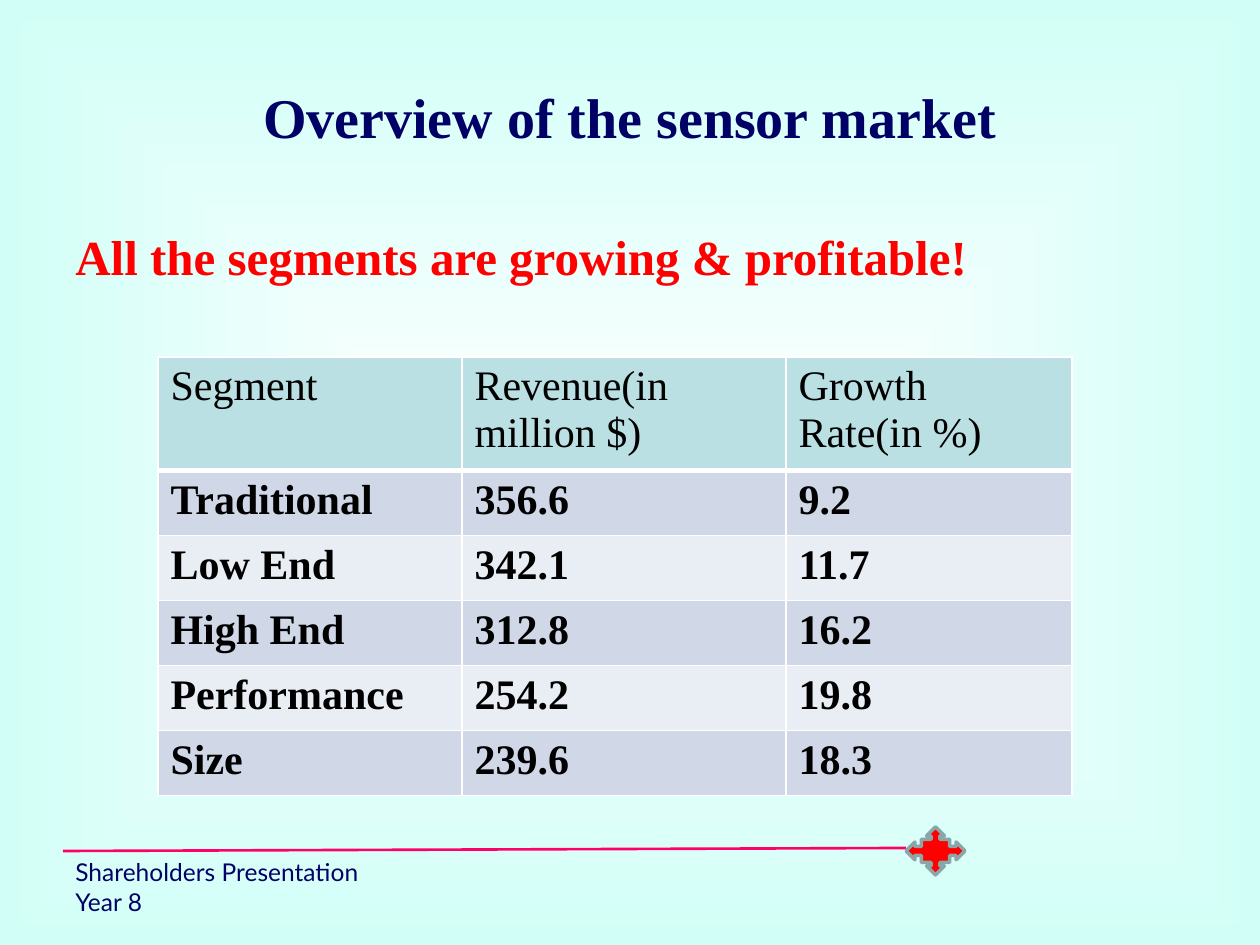
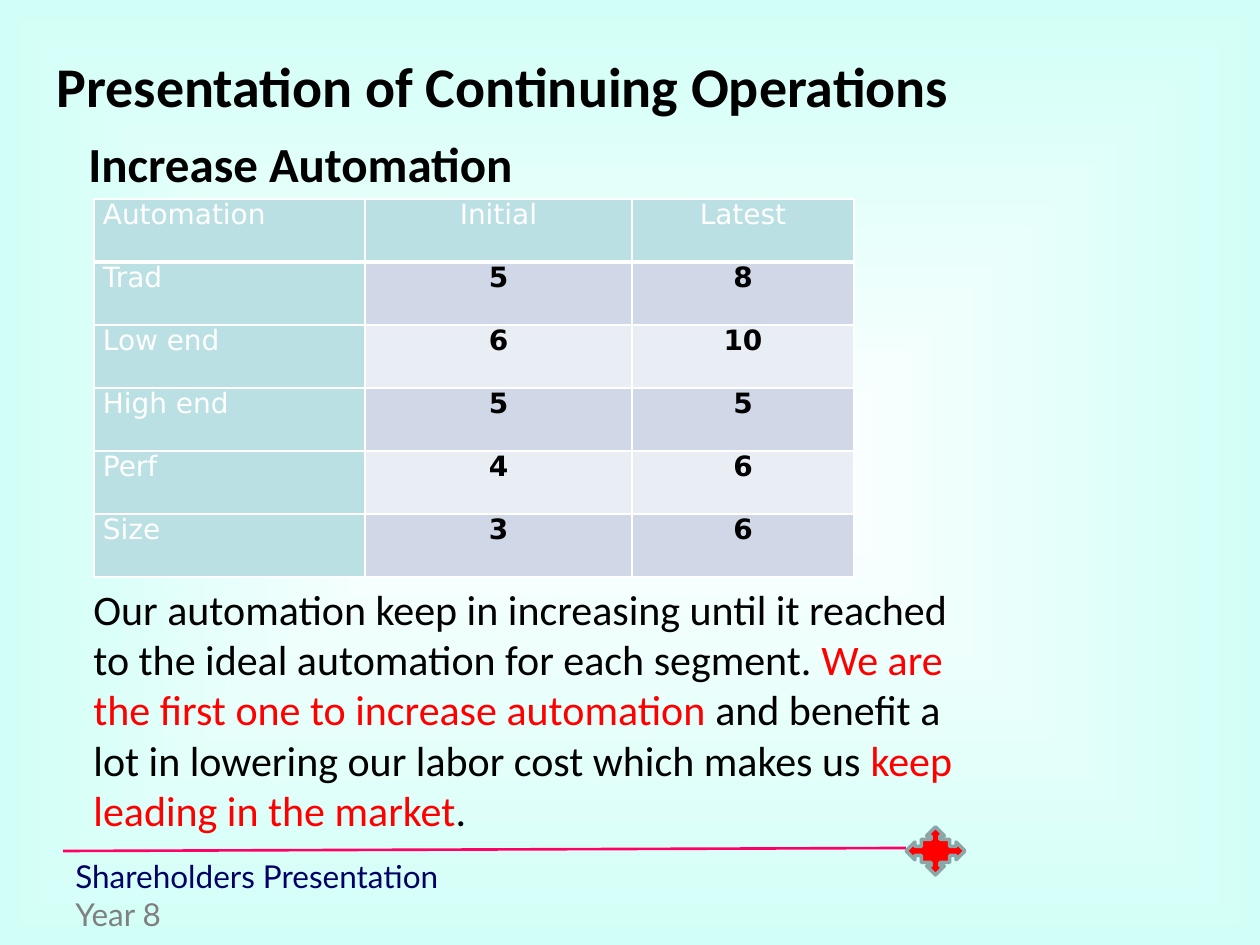
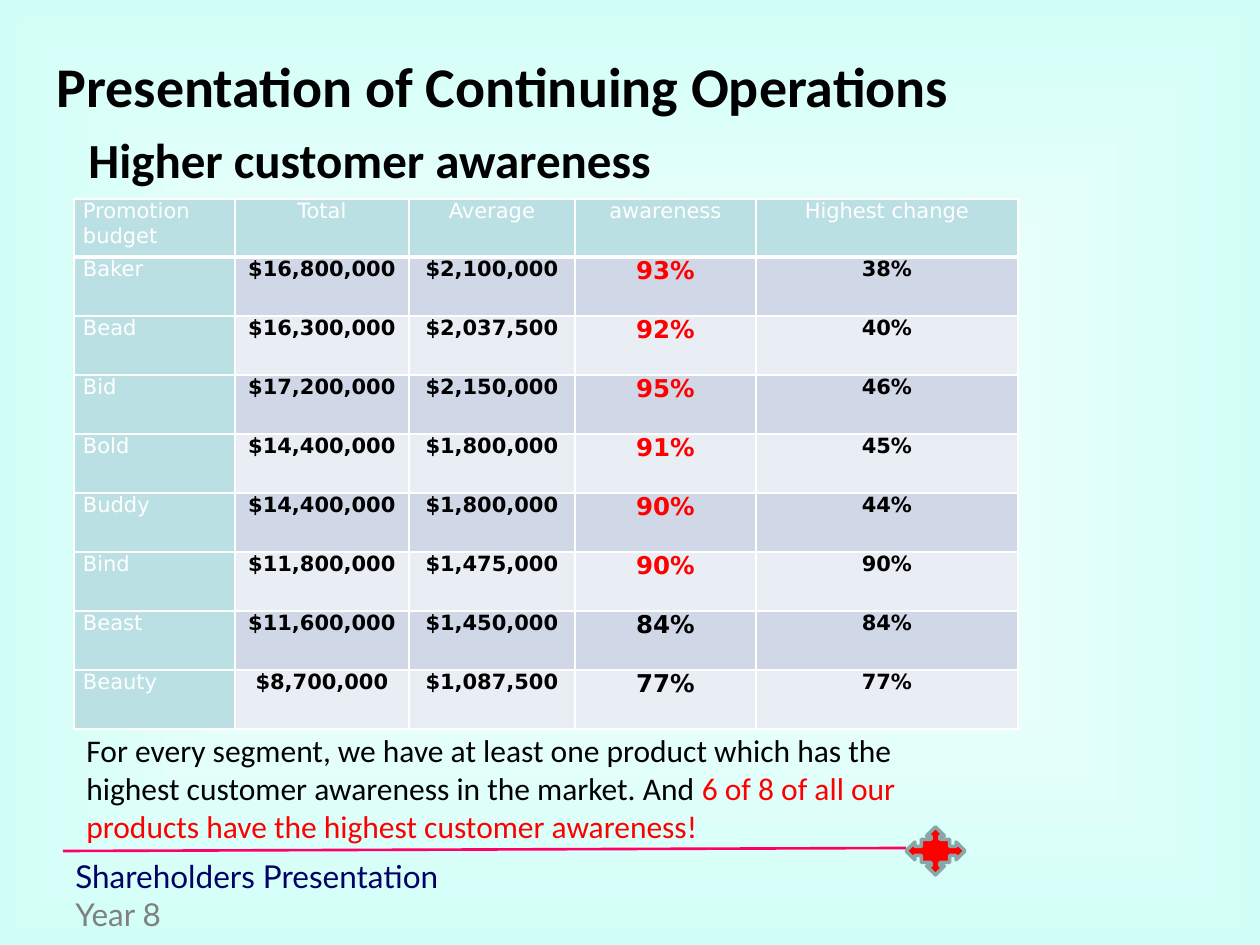
"""Build three shareholder slides on the sensor market and operations."""
from dataclasses import dataclass

from lxml import etree
from pptx import Presentation
from pptx.dml.color import RGBColor
from pptx.enum import shapes, text
from pptx.oxml.ns import qn
from pptx.util import Pt


@dataclass(frozen=True)
class Theme:
    """Colours, fonts and type sizes in points."""
    navy: str = "000066"
    red: str = "FF0000"
    black: str = "000000"
    white: str = "FFFFFF"
    grey: str = "808080"
    mint: str = "D1FFF7"
    pink: str = "FF0066"
    steel: str = "8AA6A8"
    head: str = "BBE0E3"
    bands: tuple = ("D0D8E8", "E9EDF4")
    serif: str = "Times New Roman"
    sans: str = "Calibri"
    grid: str = "DejaVu Sans"
    foot: str = "Lato"
    title: int = 32
    sub: int = 28
    body: int = 24
    note: int = 18
    mark: int = 14
    gap: int = 4


T = Theme()
WIDE, HIGH = 1260, 945
OPS = "Presentation of Continuing Operations"
FOOT = ("Shareholders Presentation", "Year 8")

MARKET = dict(
    title="Overview of the sensor market",
    lead="All the segments are growing & profitable!",
    at=(158, 357), cols=(304, 324, 286), rows=(113, 65),
    data=[
        ("Segment", "Revenue(in million $)", "Growth Rate(in %)"),
        ("Traditional", "356.6", "9.2"),
        ("Low End", "342.1", "11.7"),
        ("High End", "312.8", "16.2"),
        ("Performance", "254.2", "19.8"),
        ("Size", "239.6", "18.3"),
    ])

AUTO = dict(
    lead="Increase Automation", top=127, size=16,
    at=(94, 199), cols=(271, 267, 222), rows=(63, 63),
    data=[
        ("Automation", "Initial", "Latest"),
        ("Trad", "5", "8"),
        ("Low end", "6", "10"),
        ("High end", "5", "5"),
        ("Perf", "4", "6"),
        ("Size", "3", "6"),
    ],
    box=(81, 577, 902, 267), type=T.body,
    note=[
        ("Our automation keep in increasing until it reached to the ideal "
         "automation for each segment. ", T.black),
        ("We are the first one to increase automation ", T.red),
        ("and benefit a lot in lowering our labor cost which makes us ",
         T.black),
        ("keep leading in the market", T.red),
        (".", T.black),
    ])

AWARE = dict(
    lead="Higher customer awareness", top=123, size=12,
    at=(74, 199), cols=(161, 174, 166, 181, 262), rows=(58, 59),
    data=[
        ("Promotion budget", "Total", "Average", "awareness",
         "Highest change"),
        ("Baker", "$16,800,000", "$2,100,000", "93%", "38%"),
        ("Bead", "$16,300,000", "$2,037,500", "92%", "40%"),
        ("Bid", "$17,200,000", "$2,150,000", "95%", "46%"),
        ("Bold", "$14,400,000", "$1,800,000", "91%", "45%"),
        ("Buddy", "$14,400,000", "$1,800,000", "90%", "44%"),
        ("Bind", "$11,800,000", "$1,475,000", "90%", "90%"),
        ("Beast", "$11,600,000", "$1,450,000", "84%", "84%"),
        ("Beauty", "$8,700,000", "$1,087,500", "77%", "77%"),
    ],
    box=(74, 725, 862, 127), type=T.note,
    note=[
        ("For every segment, we have at least one product which has the "
         "highest customer awareness in the market. And ", T.black),
        ("6 of 8 of all our products have the highest customer awareness!",
         T.red),
    ])


def px(num):
    """Turn pixels into EMU."""
    return round(num * 914400 / 126)


def rgb(hue):
    """Turn a hex string into a colour."""
    return RGBColor.from_string(hue)


def style(run, font, size, hue, bold=False):
    """Format one run."""
    run.font.name, run.font.size, run.font.bold = font, Pt(size), bold
    run.font.color.rgb = rgb(hue)


def write(slide, box, lines, font, size, bold=False, grow=False):
    """Add a text box of lines, each a list of (words, colour)."""
    frame = slide.shapes.add_textbox(*map(px, box)).text_frame
    frame.word_wrap = True
    if grow:
        frame.auto_size = text.MSO_AUTO_SIZE.SHAPE_TO_FIT_TEXT
    for num, line in enumerate(lines):
        para = frame.add_paragraph() if num else frame.paragraphs[0]
        for words, hue in line:
            run = para.add_run()
            run.text = words
            style(run, font, size, hue, bold)
    return frame


def edge(cell, row):
    """Draw white cell borders, thick under the header row."""
    props = cell._tc.get_or_add_tcPr()
    thick = {"lnB": row == 0, "lnT": row == 1}
    for side in ("lnL", "lnR", "lnT", "lnB"):
        wide = Pt(3 if thick.get(side) else 1)
        line = etree.SubElement(props, qn("a:" + side), w=str(wide))
        fill = etree.SubElement(line, qn("a:solidFill"))
        etree.SubElement(fill, qn("a:srgbClr"), val=T.white)


def table(slide, page, look):
    """Add a table; look gives each cell's font, size, colour, bold, fill."""
    data, cols, (first, rest) = page["data"], page["cols"], page["rows"]
    highs = [first] + [rest] * (len(data) - 1)
    size = (sum(cols), sum(highs))
    grid = slide.shapes.add_table(len(data), len(cols),
                                  *map(px, page["at"] + size)).table
    for col, wide in zip(grid.columns, cols):
        col.width = px(wide)
    for row, high in zip(grid.rows, highs):
        row.height = px(high)
    for r, line in enumerate(data):
        for c, words in enumerate(line):
            cell = grid.cell(r, c)
            cell.text = words
            *form, fill = look(r, c, words)
            para = cell.text_frame.paragraphs[0]
            style(para.runs[0], *form)
            edge(cell, r)
            cell.fill.solid()
            cell.fill.fore_color.rgb = rgb(fill)
            if "size" in page:
                cell.margin_left = cell.margin_right = px(9)
                cell.margin_top = cell.margin_bottom = 0
                if c:
                    para.alignment = text.PP_ALIGN.CENTER


def backdrop(deck):
    """Give the master a white-to-mint gradient from the centre."""
    fill = deck.slide_master.background.fill
    fill.gradient()
    for stop, hue in zip(fill.gradient_stops, (T.white, T.mint)):
        stop.color.rgb = rgb(hue)
    grad = deck.slide_master._element.find(".//" + qn("a:gradFill"))
    grad.remove(grad.find(qn("a:lin")))
    way = etree.Element(qn("a:path"), path="shape")
    etree.SubElement(way, qn("a:fillToRect"),
                     {side: "50000" for side in "ltrb"})
    grad.insert(1, way)


def start(deck, size, hue):
    """Add a slide with the rule, the star and the footer."""
    slide = deck.slides.add_slide(deck.slide_layouts[6])
    rule = slide.shapes.add_connector(shapes.MSO_CONNECTOR.STRAIGHT,
                                      *map(px, (63, 851, 906, 848)))
    rule.line.color.rgb, rule.line.width = rgb(T.pink), Pt(1.5)
    etree.SubElement(rule._element.spPr, qn("a:effectLst"))
    star = slide.shapes.add_shape(
        shapes.MSO_SHAPE.QUAD_ARROW_CALLOUT, *map(px, (906, 827, 59, 48)))
    star.shadow.inherit = False
    star.fill.solid()
    star.fill.fore_color.rgb = rgb(T.red)
    star.line.color.rgb, star.line.width = rgb(T.steel), Pt(2)
    lines = [[pair] for pair in zip(FOOT, (T.navy, hue))]
    write(slide, (63, 851, 945, 53), lines, T.foot, size)
    return slide


def lead(slide, box, words, font, hue):
    """Add the bold line under the title."""
    frame = write(slide, box, [[(words, hue)]], font, T.sub, True)
    frame.paragraphs[0].space_before = Pt(T.gap)


def market(deck, page):
    """Build the market overview."""
    def look(row, col, words):
        fill = T.bands[(row - 1) % 2] if row else T.head
        return T.serif, T.body, T.black, row > 0, fill

    slide = start(deck, T.mark, T.navy)
    frame = write(slide, (63, 38, 1134, 157), [[(page["title"], T.navy)]],
                  T.serif, T.title, True)
    frame.vertical_anchor = text.MSO_ANCHOR.MIDDLE
    frame.paragraphs[0].alignment = text.PP_ALIGN.CENTER
    lead(slide, (63, 220, 1134, 624), page["lead"], T.serif, T.red)
    table(slide, page, look)


def operate(deck, page):
    """Build a slide on continuing operations."""
    def look(row, col, words):
        if not row or not col:
            return T.grid, page["size"], T.white, False, T.head
        mark = page["data"][0][col] == "awareness"
        top = mark and int(words.rstrip("%")) >= 90
        return (T.grid, T.mark if mark else page["size"],
                T.red if top else T.black, True, T.bands[(row - 1) % 2])

    slide = start(deck, T.note, T.grey)
    write(slide, (44, 45, 975, 81), [[(OPS, T.black)]], T.sans, T.title,
          True, True)
    lead(slide, (76, page["top"], 1042, 76), page["lead"], T.sans, T.black)
    table(slide, page, look)
    write(slide, page["box"], [page["note"]], T.sans, page["type"],
          grow=True)


def main():
    """Build and save the deck."""
    deck = Presentation()
    deck.slide_width, deck.slide_height = px(WIDE), px(HIGH)
    backdrop(deck)
    market(deck, MARKET)
    for page in (AUTO, AWARE):
        operate(deck, page)
    deck.save("out.pptx")


if __name__ == "__main__":
    main()
